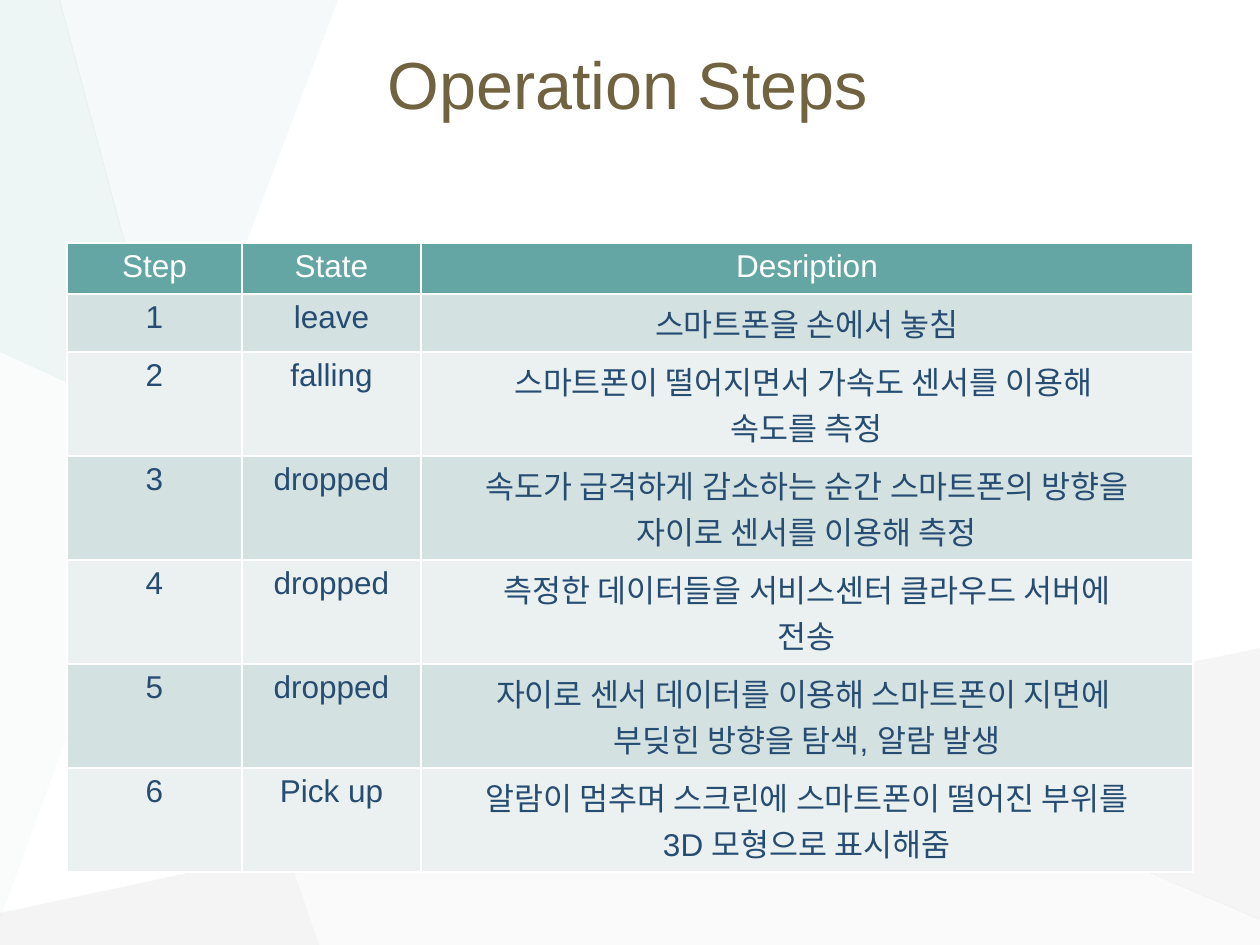
from lxml import etree
from pptx import Presentation
from pptx import util as u
from pptx.dml.color import RGBColor
from pptx.enum import text
from pptx.oxml import ns

PX = 914400 // 126  # EMU in one px
PAGE_W, PAGE_H = 1260, 945
FONT = "Arial"
WHITE, BROWN, TEAL, NAVY = "FFFFFF", "716340", "63A6A4", "264C72"
BANDS = ["D3E1E0", "EAF1F0"]

# Fill, opacity in percent, corners in px
FACETS = [
    ("F3F2F2", 26, [(179, 433), (287, 852), (832, 737)]),
    ("B6B8BA", 15, [(287, 852), (0, 913), (0, 945), (319, 945)]),
    ("E0EDED", 31, [(338, 0), (59, 0), (175, 432)]),
    ("C6C8CA", 17, [(1260, 648), (830, 737), (1260, 920)]),
    ("B6B8BA", 6, [(830, 737), (287, 852), (319, 945), (1260, 945), (1260, 919)]),
    ("C1DBDB", 27, [(60, 0), (0, 0), (0, 352), (176, 432)]),
    ("C1DBDB", 8, [(0, 352), (0, 920), (178, 432)]),
]

COLUMNS = [175, 179, 772]
ROWS = [51, 58] + [104] * 5
STEPS = [
    ("Step", "State", "Desription"),
    ("1", "leave", "스마트폰을 손에서 놓침"),
    ("2", "falling", "스마트폰이 떨어지면서 가속도 센서를 이용해 \n속도를 측정"),
    ("3", "dropped", "속도가 급격하게 감소하는 순간 스마트폰의 방향을\n자이로 센서를 이용해 측정"),
    ("4", "dropped", "측정한 데이터들을 서비스센터 클라우드 서버에\n전송"),
    ("5", "dropped", "자이로 센서 데이터를 이용해 스마트폰이 지면에 \n부딪힌 방향을 탐색, 알람 발생"),
    ("6", "Pick up", "알람이 멈추며 스크린에 스마트폰이 떨어진 부위를\n3D 모형으로 표시해줌"),
]


def px(length):
    return u.Emu(length * PX)


def paint(color_format, color):
    color_format.rgb = RGBColor.from_string(color)


def fill_solid(fill, color):
    fill.solid()
    paint(fill.fore_color, color)


def write(frame, words, size=18, color=NAVY, align=text.PP_ALIGN.CENTER):
    """Write one paragraph for each line of words."""
    for index, line in enumerate(words.split("\n")):
        para = frame.add_paragraph() if index else frame.paragraphs[0]
        para.alignment = align
        span = para.add_run()
        span.text = line
        span.font.name = FONT
        span.font.size = u.Pt(size)
        paint(span.font.color, color)


def draw_border(cell, color=WHITE, width=1):
    props = cell._tc.get_or_add_tcPr()
    for index, side in enumerate(("lnL", "lnR", "lnT", "lnB")):
        line = etree.Element(ns.qn("a:" + side), w=str(u.Pt(width)))
        solid = etree.SubElement(line, ns.qn("a:solidFill"))
        etree.SubElement(solid, ns.qn("a:srgbClr"), val=color)
        props.insert(index, line)


def add_background(page, box):
    """Translucent facets, placed from the corner of the box."""
    left, top = box[:2]
    for color, opacity, corners in FACETS:
        points = [(left + x, top + y) for x, y in corners]
        builder = page.shapes.build_freeform(*points[0], scale=PX)
        builder.add_line_segments(points[1:], close=True)
        facet = builder.convert_to_shape()
        facet.shadow.inherit = False
        facet.line.fill.background()
        fill_solid(facet.fill, color)
        tint = facet.fill._xPr.find(".//" + ns.qn("a:srgbClr"))
        etree.SubElement(tint, ns.qn("a:alpha"), val=str(opacity * 1000))


def add_title(page, box, words):
    frame = page.shapes.add_textbox(*map(px, box)).text_frame
    frame.word_wrap = True
    frame.vertical_anchor = text.MSO_ANCHOR.MIDDLE
    write(frame, words, size=38, color=BROWN)


def add_steps(page, box):
    """Table with a teal header and banded rows."""
    table = page.shapes.add_table(len(STEPS), len(COLUMNS), *map(px, box)).table
    for column, width in zip(table.columns, COLUMNS):
        column.width = px(width)
    for index, (row, height) in enumerate(zip(table.rows, ROWS)):
        row.height = px(height)
        for cell, words in zip(row.cells, STEPS[index]):
            fill_solid(cell.fill, BANDS[(index - 1) % 2] if index else TEAL)
            draw_border(cell)
            write(cell.text_frame, words, color=NAVY if index else WHITE)


def main():
    deck = Presentation()
    deck.slide_width, deck.slide_height = u.Inches(10), u.Inches(7.5)
    page = deck.slides.add_slide(deck.slide_layouts[6])
    fill_solid(page.background.fill, WHITE)
    add_background(page, (0, 0, PAGE_W, PAGE_H))
    add_title(page, (44, 18, 1168, 130), "Operation Steps")
    add_steps(page, (67, 243, sum(COLUMNS), sum(ROWS)))
    deck.save("out.pptx")


if __name__ == "__main__":
    main()
